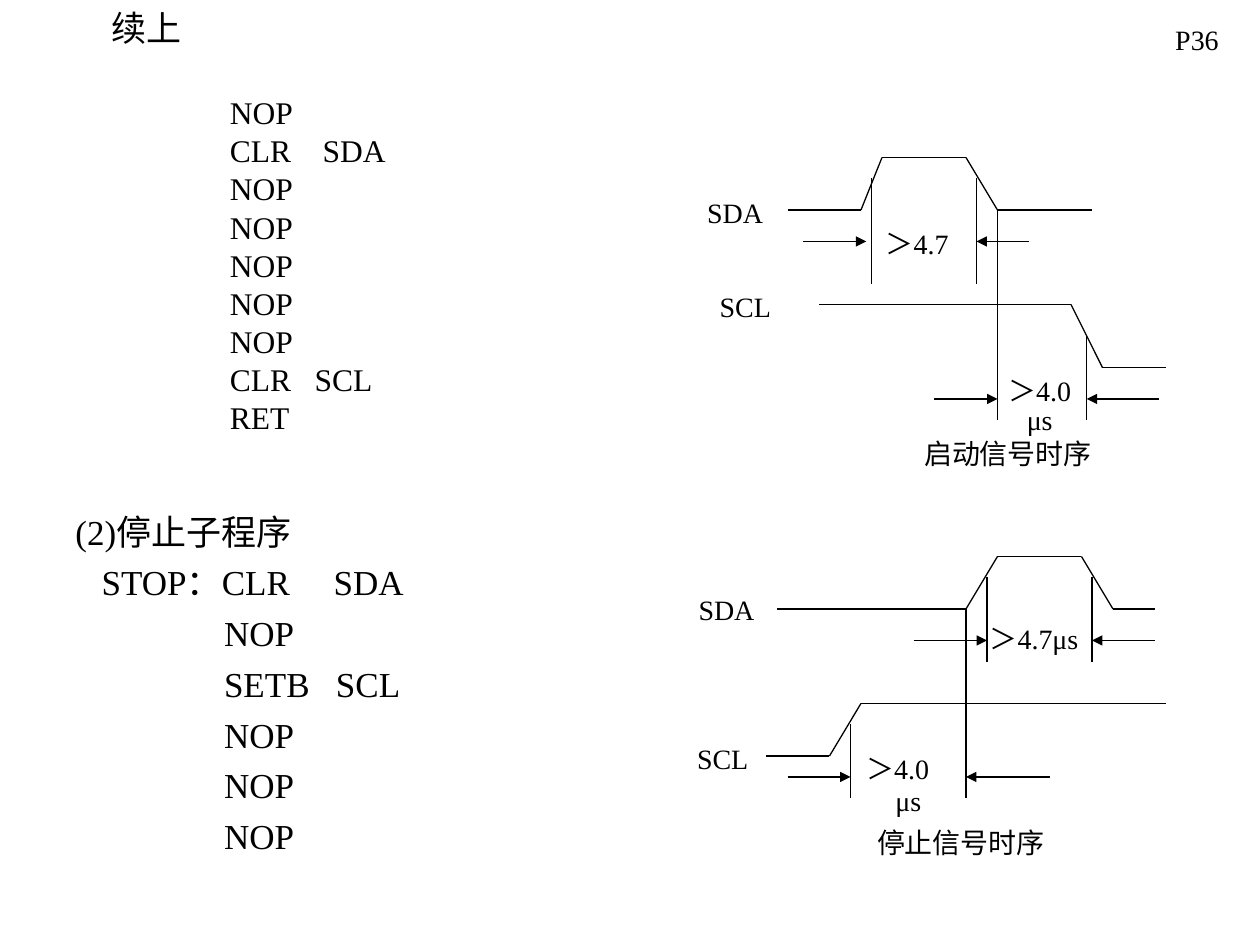
import itertools
from dataclasses import dataclass

import pptx
import pptx.dml.color
import pptx.enum.shapes
import pptx.enum.text
import pptx.oxml
import pptx.oxml.ns
import pptx.util
from pptx.util import Cm


@dataclass(frozen=True)
class Theme:
    ink: pptx.dml.color.RGBColor = pptx.dml.color.RGBColor(0, 0, 0)
    paper: pptx.dml.color.RGBColor = pptx.dml.color.RGBColor(255, 255, 255)
    font: str = "Times New Roman"
    heading: int = 20
    start_code: int = 18
    stop_code: int = 20
    label: int = 16
    stroke: float = 0.75


THEME = Theme()
CENTER = pptx.enum.text.PP_ALIGN.CENTER
LEFT = pptx.enum.text.PP_ALIGN.LEFT
LABEL_HEIGHT = 0.94
CODE_INDENT = " " * 17

START_CODE = [CODE_INDENT + step for step in
              ["NOP", "CLR    SDA", *["NOP"] * 5, "CLR   SCL", "RET"]]
STOP_CODE = ["(2)停止子程序", "   STOP：CLR     SDA"] + [
    CODE_INDENT + step for step in ["NOP", "SETB   SCL", *["NOP"] * 3]]

# Timing coordinates are in grid units of a twelfth of an inch.
START_TIMING = {
    "traces": [
        [(75, 20), (82, 20), (84, 15), (92, 15), (95, 20), (104, 20)],
        [(78, 29), (102, 29), (105, 35), (111, 35)],
    ],
    "guides": [(83, 17, 27), (93, 17, 27), (95, 20, 40), (103.5, 32, 40)],
    "arrows": [(76.5, 82.5, 23), (98, 93, 23), (89, 95, 38), (110.4, 103.5, 38)],
    "labels": [
        (["SDA"], 13.76, 3.81, 2.12),
        (["SCL"], 14.18, 5.72, 1.69),
        (["＞4.7"], 17.42, 4.44, 2.14),
        (["＞4.0", "μs"], 19.69, 7.41, 2.54),
        (["启动信号时序"], 18.2, 8.68, 4.24),
    ],
}
STOP_TIMING = {
    "traces": [
        [(74, 58), (92, 58), (95, 53), (103, 53), (106, 58), (110, 58)],
        [(73, 72), (79, 72), (82, 67), (111, 67)],
    ],
    "guides": [(94, 55, 63), (104, 55, 63), (92, 58, 76), (81, 69, 76)],
    "arrows": [(87, 94, 61), (110, 104, 61), (75, 81, 74), (100, 92, 74)],
    "labels": [
        (["SDA"], 13.48, 11.83, 2.33),
        (["SCL"], 13.62, 14.83, 1.9),
        (["＞4.7μs"], 19.26, 12.4, 3.17),
        (["＞4.0"], 16.93, 15.03, 2.33),
        (["μs"], 17.36, 15.67, 1.9),
        (["停止信号时序"], 17.15, 16.51, 4.44),
    ],
}


def grid(units):
    return Cm(units * 2.54 / 12)


def add_text(shapes, lines, box, size, align=CENTER, gap=10, spacing=None):
    """Add a text box; gap is the space in points between paragraphs."""
    frame = shapes.add_textbox(*(Cm(length) for length in box)).text_frame
    frame.word_wrap = True
    frame.text = "\n".join(lines)
    for number, paragraph in enumerate(frame.paragraphs):
        paragraph.alignment = align
        if number:
            paragraph.space_before = pptx.util.Pt(gap)
        if spacing:
            paragraph.line_spacing = spacing
        for run in paragraph.runs:
            run.font.name = THEME.font
            run.font.size = pptx.util.Pt(size)
            run.font.color.rgb = THEME.ink
    return frame


def add_code(shapes, lines, box, size, gap, spacing=None):
    frame = add_text(shapes, lines, box, size, LEFT, gap, spacing)
    for paragraph in frame.paragraphs:
        properties = paragraph._p.get_or_add_pPr()
        properties.set("marL", str(Cm(0.95)))
        properties.set("indent", str(-Cm(0.95)))


def add_line(shapes, start, end, arrow=False):
    line = shapes.add_connector(
        pptx.enum.shapes.MSO_CONNECTOR.STRAIGHT,
        *(grid(units) for units in (*start, *end)))
    line.line.color.rgb = THEME.ink
    line.line.width = pptx.util.Pt(THEME.stroke)
    properties = line._element.spPr
    if arrow:
        head = pptx.oxml.parse_xml(
            f'<a:tailEnd {pptx.oxml.ns.nsdecls("a")} type="triangle"/>')
        line.line._get_or_add_ln().append(head)
    properties.append(pptx.oxml.parse_xml(
        f'<a:effectLst {pptx.oxml.ns.nsdecls("a")}/>'))


def add_timing(slide, timing):
    """Draw one timing diagram as a group of signals, guides and labels."""
    shapes = slide.shapes.add_group_shape().shapes
    for trace in timing["traces"]:
        for start, end in itertools.pairwise(trace):
            add_line(shapes, start, end)
    for x, top, bottom in timing["guides"]:
        add_line(shapes, (x, top), (x, bottom))
    for tail, tip, y in timing["arrows"]:
        add_line(shapes, (tail, y), (tip, y), arrow=True)
    for lines, left, top, width in timing["labels"]:
        frame = add_text(shapes, lines, (left, top, width, LABEL_HEIGHT), THEME.label)
        for unit in frame.paragraphs[1:]:
            unit.line_spacing = 0.2


def main():
    deck = pptx.Presentation()
    deck.slide_width, deck.slide_height = Cm(25.4), Cm(19.05)
    slide = deck.slides.add_slide(deck.slide_layouts[6])
    slide.background.fill.solid()
    slide.background.fill.fore_color.rgb = THEME.paper

    add_text(slide.shapes, ["续上"], (1.9, 0, 2.12, 1.06), THEME.heading)
    add_code(slide.shapes, START_CODE, (1.69, 1.9, 22.86, 7.62),
             THEME.start_code, gap=4.5, spacing=0.8)
    add_code(slide.shapes, STOP_CODE, (1.27, 10.16, 23.06, 8.05),
             THEME.stop_code, gap=5)
    add_text(slide.shapes, ["P36"], (23.07, 0.33, 2.12, LABEL_HEIGHT), THEME.label)
    for timing in (STOP_TIMING, START_TIMING):
        add_timing(slide, timing)
    deck.save("out.pptx")


if __name__ == "__main__":
    main()
